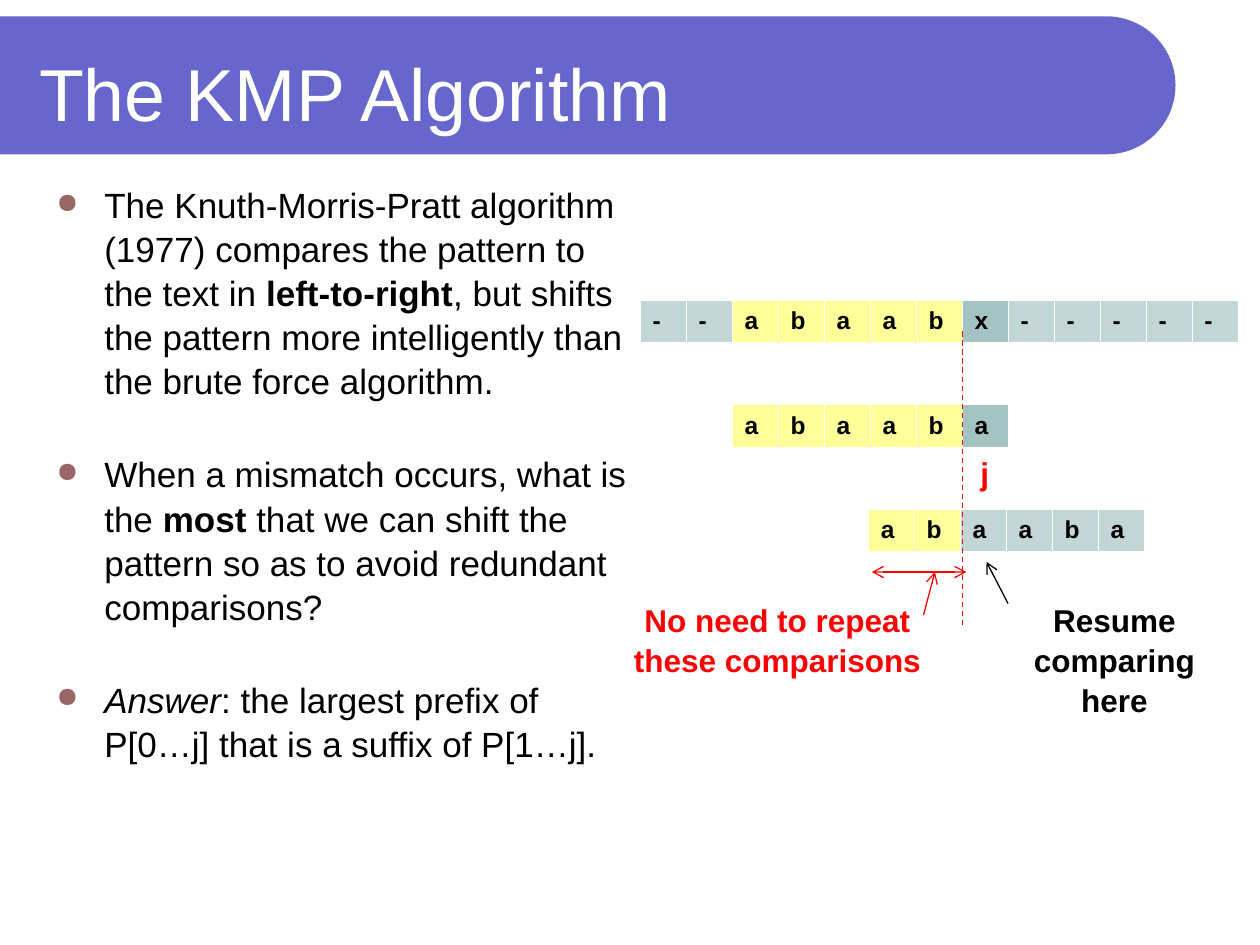
from math import cos, pi, sin

from lxml.etree import SubElement
from pptx import Presentation
from pptx.dml.color import RGBColor
from pptx.enum.dml import MSO_LINE_DASH_STYLE as Dash
from pptx.enum.shapes import MSO_CONNECTOR as Connector
from pptx.enum.text import MSO_ANCHOR as Anchor, PP_ALIGN as Align
from pptx.oxml import parse_xml
from pptx.oxml.ns import nsdecls, qn
from pptx.util import Inches, Pt

WHITE = RGBColor(0xFF, 0xFF, 0xFF)
BLACK = RGBColor(0, 0, 0)
RED = RGBColor(0xFF, 0, 0)
VIOLET = RGBColor(0x66, 0x66, 0xCC)
MATCHED = RGBColor(0xFF, 0xFF, 0x99)
MISMATCHED = RGBColor(0xA3, 0xC2, 0xC2)
UNREAD = RGBColor(0xC2, 0xD6, 0xD6)
BULLET = RGBColor(0x99, 0x66, 0x66)

COLUMNS, ROWS = 100, 75
CELL_WIDTH, CELL_HEIGHT = 3.65, 3.3


class SlideBuilder:
    font_name = "Arial"
    line_spacing = 1.05
    borders = (("lnL", 0.45), ("lnR", 0.45), ("lnT", 0.45), ("lnB", 1.47))

    def __init__(self, deck):
        self.column = deck.slide_width / COLUMNS
        self.row = deck.slide_height / ROWS
        self.slide = deck.slides.add_slide(deck.slide_layouts[5])
        self.shapes = self.slide.shapes

    def place(self, left, top, width, height):
        return (round(left * self.column), round(top * self.row),
                round(width * self.column), round(height * self.row))

    def style(self, paragraph, size, color, bold=None, align=Align.LEFT):
        paragraph.alignment = align
        paragraph.line_spacing = self.line_spacing
        for run in paragraph.runs:
            run.font.name = self.font_name
            run.font.size = Pt(size)
            run.font.color.rgb = color
            if bold is not None:
                run.font.bold = bold

    def title(self, text, box):
        title = self.shapes.title
        title.left, title.top, title.width, title.height = self.place(*box)
        title.text_frame.text = text
        title.text_frame.vertical_anchor = Anchor.MIDDLE
        self.style(title.text_frame.paragraphs[0], 42, WHITE)

    def title_band(self, top, right, height):
        radius = height / 2
        angles = [pi * step / 48 - pi / 2 for step in range(49)]
        arc = [(right - radius + radius * cos(angle), top + radius + radius * sin(angle))
               for angle in angles]
        outline = [(x * self.column, y * self.row) for x, y in arc + [(0, top + height)]]
        builder = self.shapes.build_freeform(0, round(top * self.row))
        builder.add_line_segments(outline, close=True)
        band = builder.convert_to_shape()
        band.shadow.inherit = False
        band.fill.solid()
        band.fill.fore_color.rgb = VIOLET
        band.line.fill.background()
        self.shapes.title.element.addprevious(band.element)

    def bullets(self, items, box):
        frame = self.shapes.add_textbox(*self.place(*box)).text_frame
        frame.word_wrap = True
        for index, item in enumerate(items):
            paragraph = frame.add_paragraph() if index else frame.paragraphs[0]
            properties = paragraph._p.get_or_add_pPr()
            indent = Inches(0.38)
            properties.set("marL", str(indent))
            properties.set("indent", str(-indent))
            color = SubElement(properties, qn("a:buClr"))
            SubElement(color, qn("a:srgbClr"), val=str(BULLET))
            SubElement(properties, qn("a:buSzPct"), val="80000")
            SubElement(properties, qn("a:buChar"), char="●")
            for text, emphasis in item:
                run = paragraph.add_run()
                run.text = text
                run.font.bold = emphasis == "bold"
                run.font.italic = emphasis == "italic"
            self.style(paragraph, 20, BLACK)
            if index:
                paragraph.space_before = Pt(28)

    def label(self, lines, box, color):
        frame = self.shapes.add_textbox(*self.place(*box)).text_frame
        frame.word_wrap = False
        frame.text = "\n".join(lines)
        for paragraph in frame.paragraphs:
            self.style(paragraph, 18, color, True, Align.CENTER)

    def strip(self, letters, fills, left, top):
        box = self.place(left, top, CELL_WIDTH * len(letters), CELL_HEIGHT)
        table = self.shapes.add_table(1, len(letters), *box).table
        table.first_row = table.horz_banding = False
        for cell, letter, fill in zip(table.iter_cells(), letters, fills):
            cell.text_frame.text = letter
            self.style(cell.text_frame.paragraphs[0], 14, BLACK, True)
            cell.fill.solid()
            cell.fill.fore_color.rgb = fill
            properties = cell._tc.get_or_add_tcPr()
            for position, (side, width) in enumerate(self.borders):
                properties.insert(position, parse_xml(
                    f'<a:{side} {nsdecls("a")} w="{Pt(width)}"><a:solidFill>'
                    f'<a:srgbClr val="{WHITE}"/></a:solidFill></a:{side}>'))

    def line(self, start, end, color, ends=(), dash=None):
        points = self.place(*start, *end)
        connector = self.shapes.add_connector(Connector.STRAIGHT, *points)
        connector.line.color.rgb = color
        connector.line.width = Pt(0.75)
        if dash:
            connector.line.dash_style = dash
        outline = connector.line._get_or_add_ln()
        for end_name in ends:
            SubElement(outline, qn(f"a:{end_name}"), type="arrow")
        SubElement(connector._element.spPr, qn("a:effectLst"))


def main():
    deck = Presentation()
    deck.slide_width, deck.slide_height = Inches(10), Inches(7.5)
    kmp = SlideBuilder(deck)

    kmp.title_band(1.3, 93.3, 10.95)
    kmp.title("The KMP Algorithm", (2.1, 2.1, 87.7, 10))
    kmp.bullets([
        [("The Knuth-Morris-Pratt algorithm (1977) compares the pattern to the text in ", None),
         ("left-to-right", "bold"),
         (", but shifts the pattern more intelligently than the brute force algorithm.", None)],
        [("When a mismatch occurs, what is the ", None),
         ("most", "bold"),
         (" that we can shift the pattern so as to avoid redundant comparisons?", None)],
        [("Answer", "italic"),
         (": the largest prefix of P[0…j] that is a suffix of P[1…j].", None)],
    ], (3.5, 13.9, 47.3, 57.5))

    strips = [
        ("--abaabx-----", [UNREAD] * 2 + [MATCHED] * 5 + [MISMATCHED] + [UNREAD] * 5, 50.8),
        ("abaaba", [MATCHED] * 5 + [MISMATCHED], 58.1),
        ("abaaba", [MATCHED] * 2 + [UNREAD] * 4, 68.9),
    ]
    for index, (letters, fills, left) in enumerate(strips):
        kmp.strip(letters, fills, left, 23.8 + 8.3 * index)

    kmp.line((76.4, 26.3), (76.4, 49.6), RED, dash=Dash.DASH)
    kmp.label(["j"], (76.8, 35.4, 2.7, 4), RED)
    kmp.label(["No need to repeat", "these comparisons"], (49.3, 47.1, 24.8, 7), RED)
    kmp.label(["Resume", "comparing here"], (78.1, 47.1, 20.7, 7), BLACK)
    kmp.line((80, 47.9), (78.3, 44.6), BLACK, ["tailEnd"])
    kmp.line((73.3, 48.8), (74.2, 45.4), RED, ["tailEnd"])
    kmp.line((69.2, 45.4), (76.7, 45.4), RED, ["headEnd", "tailEnd"])

    deck.save("out.pptx")


if __name__ == "__main__":
    main()
